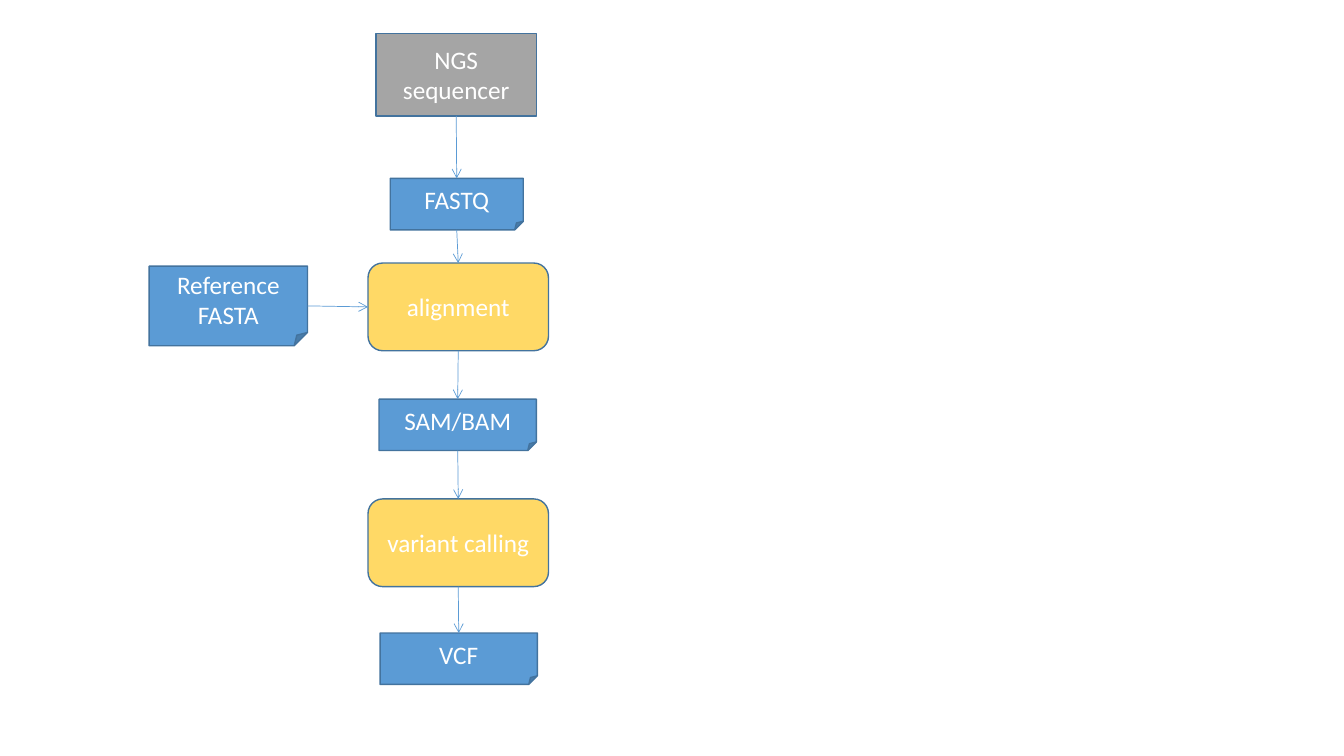
from lxml import etree
from pptx import Presentation
from pptx.dml.color import RGBColor
from pptx.enum.shapes import MSO_CONNECTOR, MSO_SHAPE
from pptx.enum.text import MSO_ANCHOR, PP_ALIGN
from pptx.oxml.ns import qn
from pptx.util import Inches, Pt

STRAIGHT = MSO_CONNECTOR.STRAIGHT
MIDDLE = MSO_ANCHOR.MIDDLE
CENTER = PP_ALIGN.CENTER
TOP, LEFT, BOTTOM, RIGHT = range(4)

COLORS = {
    "machine": "A5A5A5",
    "file": "5B9BD5",
    "process": "FFD966",
    "outline": "43739E",
    "arrow": "5B9BD5",
    "text": "FFFFFF",
}
OUTLINES = {
    "machine": MSO_SHAPE.RECTANGLE,
    "file": MSO_SHAPE.FOLDED_CORNER,
    "process": MSO_SHAPE.ROUNDED_RECTANGLE,
}
STEPS = [
    ("NGS sequencer", "machine", (3.73, 0.33, 1.59, 0.82)),
    ("FASTQ", "file", (3.87, 1.77, 1.32, 0.51)),
    ("alignment", "process", (3.65, 2.61, 1.79, 0.87)),
    ("SAM/BAM", "file", (3.76, 3.96, 1.56, 0.51)),
    ("variant calling", "process", (3.65, 4.95, 1.79, 0.87)),
    ("VCF", "file", (3.77, 6.28, 1.56, 0.51)),
]
REFERENCE = ("Reference\vFASTA", "file", (1.48, 2.64, 1.57, 0.79))


def color(name):
    return RGBColor.from_string(COLORS[name])


def add_box(page, text, kind, place):
    box = page.shapes.add_shape(OUTLINES[kind], *map(Inches, place))
    box.shadow.inherit = False
    box.fill.solid()
    box.fill.fore_color.rgb = color(kind)
    box.line.color.rgb = color("outline")
    box.line.width = Pt(1)
    frame = box.text_frame
    frame.word_wrap = True
    frame.vertical_anchor = MIDDLE
    frame.text = text
    para = frame.paragraphs[0]
    para.alignment = CENTER
    para.font.name = "Calibri"
    para.font.size = Pt(18)
    para.font.color.rgb = color("text")
    return box


def add_arrow(page, source, source_side, target, target_side):
    arrow = page.shapes.add_connector(STRAIGHT, 0, 0, 0, 0)
    arrow.begin_connect(source, source_side)
    arrow.end_connect(target, target_side)
    arrow.line.color.rgb = color("arrow")
    arrow.line.width = Pt(0.5)
    properties = arrow.element.spPr
    etree.SubElement(properties.find(qn("a:ln")), qn("a:tailEnd"), type="arrow")
    etree.SubElement(properties, qn("a:effectLst"))


def main():
    deck = Presentation()
    deck.slide_width = Inches(13.33)
    deck.slide_height = Inches(7.5)
    page = deck.slides.add_slide(deck.slide_layouts[6])

    steps = {text: add_box(page, text, kind, place) for text, kind, place in STEPS}
    reference = add_box(page, *REFERENCE)

    column = list(steps.values())
    for source, target in zip(column, column[1:]):
        add_arrow(page, source, BOTTOM, target, TOP)
    add_arrow(page, reference, RIGHT, steps["alignment"], LEFT)

    deck.save("out.pptx")


if __name__ == "__main__":
    main()
